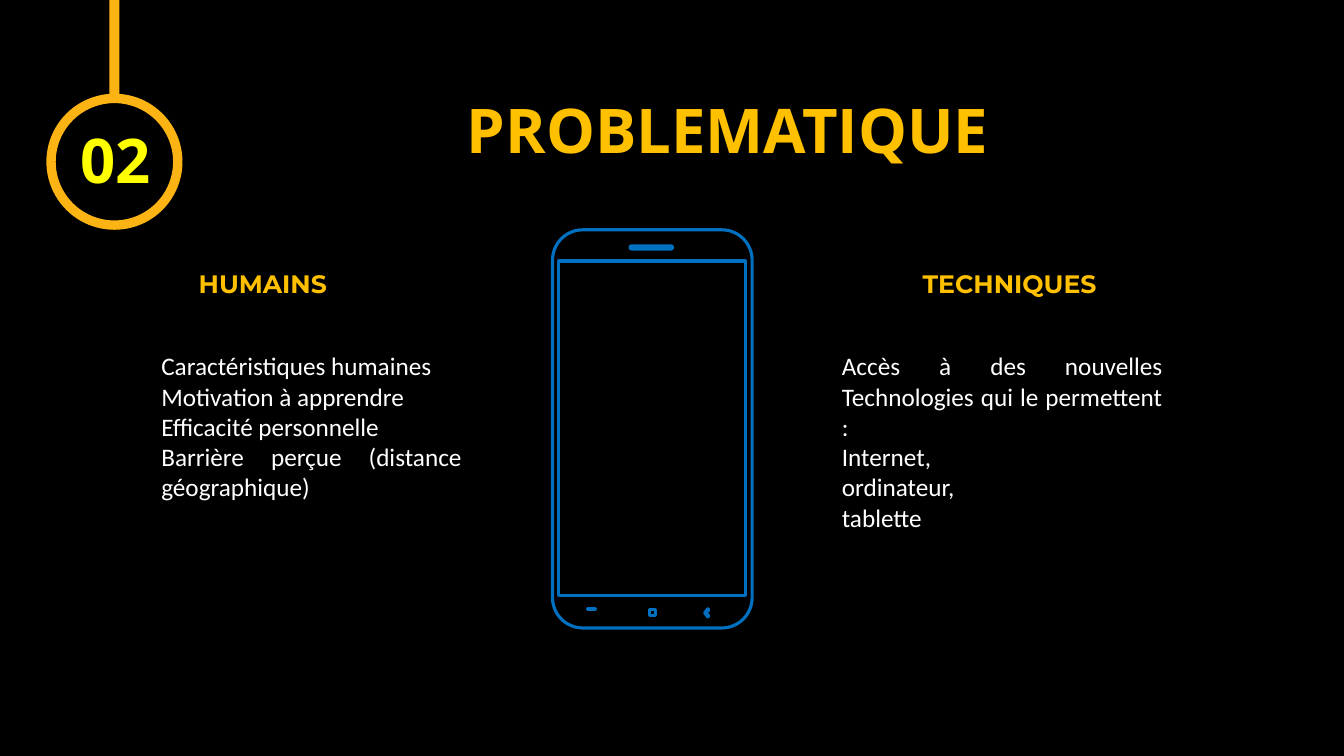
import math
from dataclasses import dataclass

from lxml import etree
from pptx import Presentation
from pptx import util as u
from pptx.dml.color import RGBColor
from pptx.enum import shapes, text
from pptx.oxml.ns import qn


@dataclass(frozen=True)
class Theme:
    """Colours, fonts and type sizes of the slide."""
    background: str = "000000"
    badge: str = "FCB414"
    number: str = "FFFF00"
    heading: str = "FFC000"
    body: str = "FFFFFF"
    phone: str = "0070C0"
    display_font: str = "Open Sans"
    heading_font: str = "Montserrat"
    body_font: str = "Calibri"
    display_size: int = 44
    text_size: int = 18
    phone_line: float = 2.25


THEME = Theme()


def place(shape, box):
    """Move a shape to a box of left, top, width and height in inches."""
    shape.left, shape.top, shape.width, shape.height = map(u.Inches, box)


def draw(page, kind, box, fill):
    """Draw a filled preset shape without outline or shadow."""
    shape = page.shapes.add_shape(kind, *map(u.Inches, box))
    shape.shadow.inherit = False
    shape.fill.solid()
    shape.fill.fore_color.rgb = RGBColor.from_string(fill)
    shape.line.fill.background()
    return shape


def write(shape, lines, font, size, color, bold=False, align=text.PP_ALIGN.LEFT,
          anchor=text.MSO_ANCHOR.TOP, inset=0.1, spacing=1.0):
    """Write paragraphs without bullets into a shape."""
    frame = shape.text_frame
    frame.word_wrap = True
    frame.auto_size = text.MSO_AUTO_SIZE.NONE
    frame.vertical_anchor = anchor
    frame.margin_left = frame.margin_right = frame.margin_top = u.Inches(inset)
    frame.margin_bottom = u.Inches(0.1)
    frame.text = "\n".join(lines)
    for para in frame.paragraphs:
        para.alignment, para.line_spacing = align, spacing
        para.space_before = para.space_after = u.Pt(0)
        para.font.name, para.font.size, para.font.bold = font, u.Pt(size), bold
        para.font.color.rgb = RGBColor.from_string(color)
        properties = para._p.get_or_add_pPr()
        properties.set("marL", "0")
        properties.set("indent", "0")
        bullet = etree.Element(qn("a:buNone"))
        properties.find(qn("a:defRPr")).addprevious(bullet)


def add_title(page, box, words):
    """Place the slide title."""
    place(page.shapes.title, box)
    write(page.shapes.title, [words], THEME.display_font, THEME.display_size,
          THEME.heading, bold=True, align=text.PP_ALIGN.CENTER,
          anchor=text.MSO_ANCHOR.MIDDLE, spacing=0.9)


def add_badge(page, box, number):
    """Hang a numbered ring from the top edge of the slide."""
    left, top, width, height = box
    stem = 0.1
    ring = draw(page, shapes.MSO_SHAPE.DONUT, box, THEME.badge)
    ring.adjustments[0] = 0.069
    draw(page, shapes.MSO_SHAPE.RECTANGLE,
         (left + (width - stem) / 2, 0, stem, top + stem / 2), THEME.badge)
    label = page.shapes.add_textbox(
        *map(u.Inches, (left + 0.14, top + 0.2, width, 0.92)))
    write(label, [number], THEME.display_font, THEME.display_size, THEME.number,
          bold=True, anchor=text.MSO_ANCHOR.BOTTOM, inset=0.2, spacing=0.9)


def outline(left, top, width, height, radius=0.0):
    """Return the points of a rectangle, with round corners if asked."""
    right, bottom = left + width, top + height
    if not radius:
        return [(left, top), (right, top), (right, bottom), (left, bottom)]
    centres = [(right - radius, bottom - radius), (left + radius, bottom - radius),
               (left + radius, top + radius), (right - radius, top + radius)]
    steps = 12
    return [(x + radius * math.cos(angle), y + radius * math.sin(angle))
            for corner, (x, y) in enumerate(centres)
            for angle in (math.pi / 2 * (corner + step / steps)
                          for step in range(steps + 1))]


def add_phone(page, box):
    """Draw an outlined phone with screen, speaker and three keys."""
    left, top, width, height = box
    contours = [
        outline(0, 0, width, height, 0.3),
        outline(0.06, 0.31, width - 0.13, 3.32),
        outline(0.77, 0.16, 0.42, 0.03, 0.015),
        outline(0.35, 3.76, 0.08, 0.01),
        outline(0.96, 3.77, 0.06, 0.06),
        [(1.54, 3.76), (1.51, 3.8), (1.54, 3.84),
         (1.55, 3.83), (1.52, 3.8), (1.55, 3.77)],
    ]
    builder = None
    for contour in contours:
        points = [(u.Inches(left + x), u.Inches(top + y)) for x, y in contour]
        if builder is None:
            builder = page.shapes.build_freeform(*points[0])
        else:
            builder.move_to(*points[0])
        builder.add_line_segments(points[1:], close=True)
    phone = builder.convert_to_shape()
    phone.shadow.inherit = False
    phone.fill.background()
    phone.line.color.rgb = RGBColor.from_string(THEME.phone)
    phone.line.width = u.Pt(THEME.phone_line)


def add_column(page, box, first, heading, heading_shift, lines):
    """Fill a heading and a list placeholder, stacked in a box."""
    left, top, width, height = box
    gap = 0.82
    head, body = page.placeholders[first], page.placeholders[first + 1]
    place(head, (left + heading_shift, top, 2.08, gap))
    place(body, (left, top + gap, width, height - gap))
    write(head, [heading], THEME.heading_font, THEME.text_size, THEME.heading,
          bold=True)
    write(body, lines, THEME.body_font, THEME.text_size, THEME.body,
          align=text.PP_ALIGN.JUSTIFY)


def main():
    """Build the slide and save the deck."""
    deck = Presentation()
    deck.slide_width, deck.slide_height = u.Inches(13.33), u.Inches(7.5)
    page = deck.slides.add_slide(deck.slide_layouts.get_by_name("Comparison"))
    page.background.fill.solid()
    page.background.fill.fore_color.rgb = RGBColor.from_string(THEME.background)
    add_title(page, (2.44, 0.6, 9.56, 1.45), "PROBLEMATIQUE")
    add_badge(page, (0.46, 0.93, 1.35, 1.35), "02")
    add_phone(page, (5.48, 2.28, 1.98, 3.95))
    add_column(page, (1.5, 2.56, 3.18, 3.31), 1, "HUMAINS", 0.37, [
        "Caractéristiques humaines",
        "Motivation à apprendre",
        "Efficacité personnelle",
        "Barrière perçue (distance géographique)",
    ])
    add_column(page, (8.25, 2.56, 3.38, 3.92), 3, "TECHNIQUES", 0.8, [
        "Accès à des nouvelles Technologies qui le permettent :",
        "Internet,",
        "ordinateur,",
        "tablette",
    ])
    deck.save("out.pptx")


if __name__ == "__main__":
    main()
